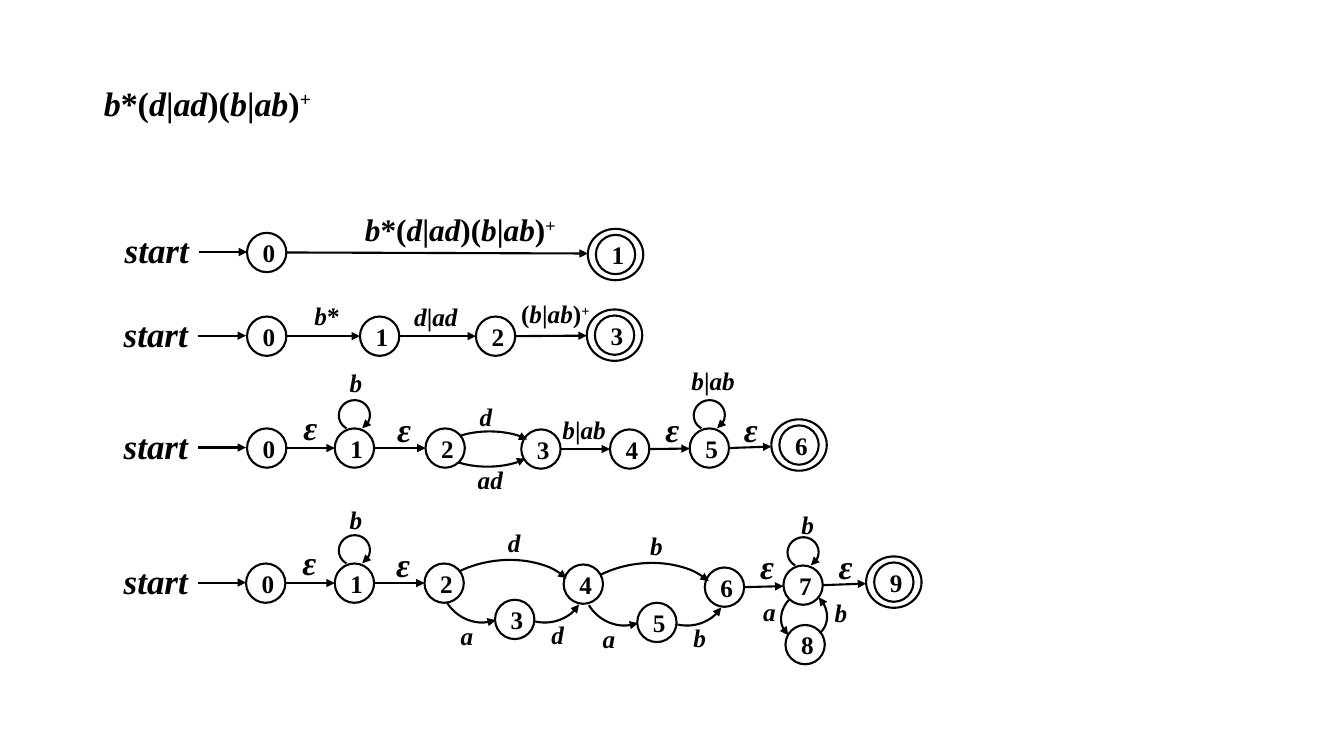
from itertools import groupby
from pptx import Presentation
from pptx import util as u
from pptx.dml.color import RGBColor
from pptx.enum import shapes, text
from pptx.oxml.ns import qn
from lxml import etree

INK = "000000"
FACE = "Times New Roman"
DIAM = 0.39
RING_W, RING_H = 0.55, 0.51

# Arc kinds: width, height, rotation, flip, start, end, arrowhead
ARCS = {
    "loop": (0.31, 0.3, 347.3, None, 80.25, 42.92, "tailEnd"),
    "over": (0.91, 0.38, 0, None, 124, 206.38, "tailEnd"),
    "under": (0.91, 0.38, 0, "flipV", 124, 206.38, "tailEnd"),
    "leap": (1.57, 1.03, 352.8, None, 138.62, 203.69, "tailEnd"),
    "dip": (0.91, 1.03, 16.7, "flipV", 141.37, 179.19, "tailEnd"),
    "rise": (0.91, 1.03, 331, "flipV", 141.37, 174.83, "tailEnd"),
    "back": (0.48, 0.55, 233.6, None, 156.5, 208.63, "headEnd"),
    "down": (0.48, 0.55, 126.4, "flipH", 156.5, 208.63, "tailEnd"),
}


def tint(code):
    return RGBColor.from_string(code)


def box(*sides):
    return [u.Inches(side) for side in sides]


def ink(part, head=None):
    part.line.color.rgb = tint(INK)
    part.line.width = u.Pt(1.5)
    if head:
        line = part._element.spPr.find(qn("a:ln"))
        etree.SubElement(line, qn("a:" + head), type="triangle")


def write(frame, words, size):
    """Letters are italic, signs upright, and a plus sign is raised."""
    para = frame.paragraphs[0]
    para.font.name = FACE
    para.font.size = u.Pt(size)
    para.font.bold = True
    para.font.color.rgb = tint(INK)
    for (slant, high), chars in groupby(words, lambda c: (c.isalpha(), c == "+")):
        run = para.add_run()
        run.text = "".join(chars)
        run.font.italic = slant
        if high:
            run.font._element.set("baseline", "30000")
    return para


def label(slide, x, y, words, w=0.47, size=18, tall=True, pad=0.1):
    if words == "ε":
        w, size = 0.39, 24.3
    frame = slide.shapes.add_textbox(*box(x, y, w, 0.6 if tall else 0.4)).text_frame
    frame.word_wrap = True
    frame.margin_left = u.Inches(pad)
    para = write(frame, words, size)
    if tall:
        frame.vertical_anchor = text.MSO_ANCHOR.BOTTOM
        para.alignment = text.PP_ALIGN.JUSTIFY
        para.line_spacing = u.Pt(40)


def oval(slide, x, y, w, h):
    part = slide.shapes.add_shape(shapes.MSO_SHAPE.OVAL, *box(x, y, w, h))
    part.shadow.inherit = False
    part.fill.background()
    ink(part)
    return part


def state(slide, x, y, name):
    frame = oval(slide, x, y, DIAM, DIAM).text_frame
    frame.word_wrap = True
    frame.vertical_anchor = text.MSO_ANCHOR.MIDDLE
    write(frame, name, 18).alignment = text.PP_ALIGN.CENTER


def arrow(slide, x1, y1, x2, y2):
    part = slide.shapes.add_connector(
        shapes.MSO_CONNECTOR.STRAIGHT, *box(x1, y1, x2, y2))
    ink(part, "tailEnd")
    etree.SubElement(part._element.spPr, qn("a:effectLst"))


def arc(slide, x, y, kind):
    w, h, turn, flip, start, end, head = ARCS[kind]
    part = slide.shapes.add_shape(shapes.MSO_SHAPE.ARC, *box(x, y, w, h))
    part.shadow.inherit = False
    part.fill.background()
    part.adjustments[0] = start
    part.adjustments[1] = end
    part.rotation = turn
    if flip:
        part._element.spPr.find(qn("a:xfrm")).set(flip, "1")
    ink(part, head)


def fork(slide, x, y, name, last):
    """Upper path on one letter, lower path through a middle state."""
    state(slide, x + 0.7, y + 0.36, name)
    for dx, dy, kind in [(-0.02, -0.03, "leap"), (0.15, -0.44, "dip"),
                         (0.69, -0.43, "rise")]:
        arc(slide, x + dx, y + dy, kind)
    for dx, dy, word in [(0.73, -0.61, last), (0.26, 0.31, "a"), (1.16, 0.3, last)]:
        label(slide, x + dx, y + dy, word)


def machine(slide, x, y, states, links, labels, loops=(), arcs=(), forks=()):
    # Start mark, wide enough for its word on one line
    frame = slide.shapes.add_textbox(*box(x - 0.1, y + 0.05, 0.75, 0.24)).text_frame
    frame.word_wrap = False
    frame.margin_left = frame.margin_right = 0
    frame.vertical_anchor = text.MSO_ANCHOR.MIDDLE
    write(frame, "start", 25).alignment = text.PP_ALIGN.CENTER
    arrow(slide, x + 0.69, y + 0.19, x + 1.17, y + 0.19)

    # States, the last one with a ring
    for name, (dx, dy) in states.items():
        state(slide, x + dx, y + dy, name)
    final = list(states)[-1]
    dx, dy = states[final]
    oval(slide, x + dx - 0.08, y + dy - 0.06, RING_W, RING_H)

    # Straight moves
    for a, b in links:
        (ax, ay), (bx, by) = states[a], states[b]
        gap = 0.08 if b == final else 0
        mid = DIAM / 2
        arrow(slide, x + ax + DIAM, y + ay + mid,
              x + bx - gap, y + (ay + by) / 2 + mid)

    # Loops, bends and labels
    for name, word, lx, ly, w in loops:
        dx, dy = states[name]
        arc(slide, x + dx + 0.04, y + dy - 0.28, "loop")
        label(slide, x + dx + lx, y + dy + ly, word, w, tall=False)
    for dx, dy, kind in arcs:
        arc(slide, x + dx, y + dy, kind)
    for dx, dy, name, last in forks:
        fork(slide, x + dx, y + dy, name, last)
    for dx, dy, word, *more in labels:
        label(slide, x + dx, y + dy, word, *more)


def main():
    deck = Presentation()
    deck.slide_width, deck.slide_height = box(13.33, 7.5)
    slide = deck.slides.add_slide(deck.slide_layouts[6])
    whole = "b*(d|ad)(b|ab)+"

    # Title
    label(slide, 0.85, 0.67, whole, 10, 24.3, pad=0.18)

    # Whole expression on one move
    machine(slide, 1.28, 2.31, {"0": (1.17, 0), "1": (4.63, 0.02)}, ["01"],
            [(2.09, -0.4, whole, 2.27, 22.3, True, 0.25)])

    # Split into three factors
    machine(slide, 1.27, 3.14,
            {"0": (1.18, 0), "1": (2.3, 0), "2": (3.45, 0), "3": (4.63, -0.01)},
            ["01", "12", "23"],
            [(1.75, -0.41, "b*", 0.48), (2.74, -0.2, "d|ad", 0.87, 18, False),
             (3.8, -0.43, "(b|ab)+", 0.95)])

    # Closures and choices opened up
    machine(slide, 1.27, 4.25,
            {"0": (1.18, 0), "1": (2.05, 0), "2": (2.95, 0), "3": (3.9, 0.01),
             "4": (4.78, 0.01), "5": (5.57, 0), "6": (6.46, -0.03)},
            ["01", "12", "34", "45", "56"],
            [(1.64, -0.36, "ε"), (2.57, -0.34, "ε"), (3.39, -0.52, "d"),
             (3.37, 0.11, "ad"), (4.21, -0.39, "b|ab", 0.64),
             (5.23, -0.34, "ε"), (6.01, -0.34, "ε")],
            loops=[("1", "b", 0.05, -0.66, 0.42), ("5", "b|ab", -0.08, -0.67, 0.64)],
            arcs=[(3.13, 0.03, "over"), (3.11, 0, "under")])

    # Single letters only
    machine(slide, 1.27, 5.59,
            {"0": (1.17, 0), "1": (2.05, 0), "2": (2.94, 0), "4": (4.32, 0.01),
             "6": (5.72, 0.04), "7": (6.5, 0.02), "8": (6.52, 0.61),
             "9": (7.4, -0.01)},
            ["01", "12", "67", "79"],
            [(1.63, -0.36, "ε"), (2.56, -0.34, "ε"), (6.17, -0.32, "ε"),
             (6.95, -0.32, "ε"), (6.2, 0.08, "a"), (6.91, 0.09, "b")],
            loops=[("1", "b", 0.05, -0.64, 0.52), ("7", "b", 0.08, -0.61, 0.5)],
            arcs=[(6.5, 0.24, "back"), (6.43, 0.22, "down")],
            forks=[(2.94, 0, "3", "d"), (4.35, 0.03, "5", "b")])

    deck.save("out.pptx")


if __name__ == "__main__":
    main()
